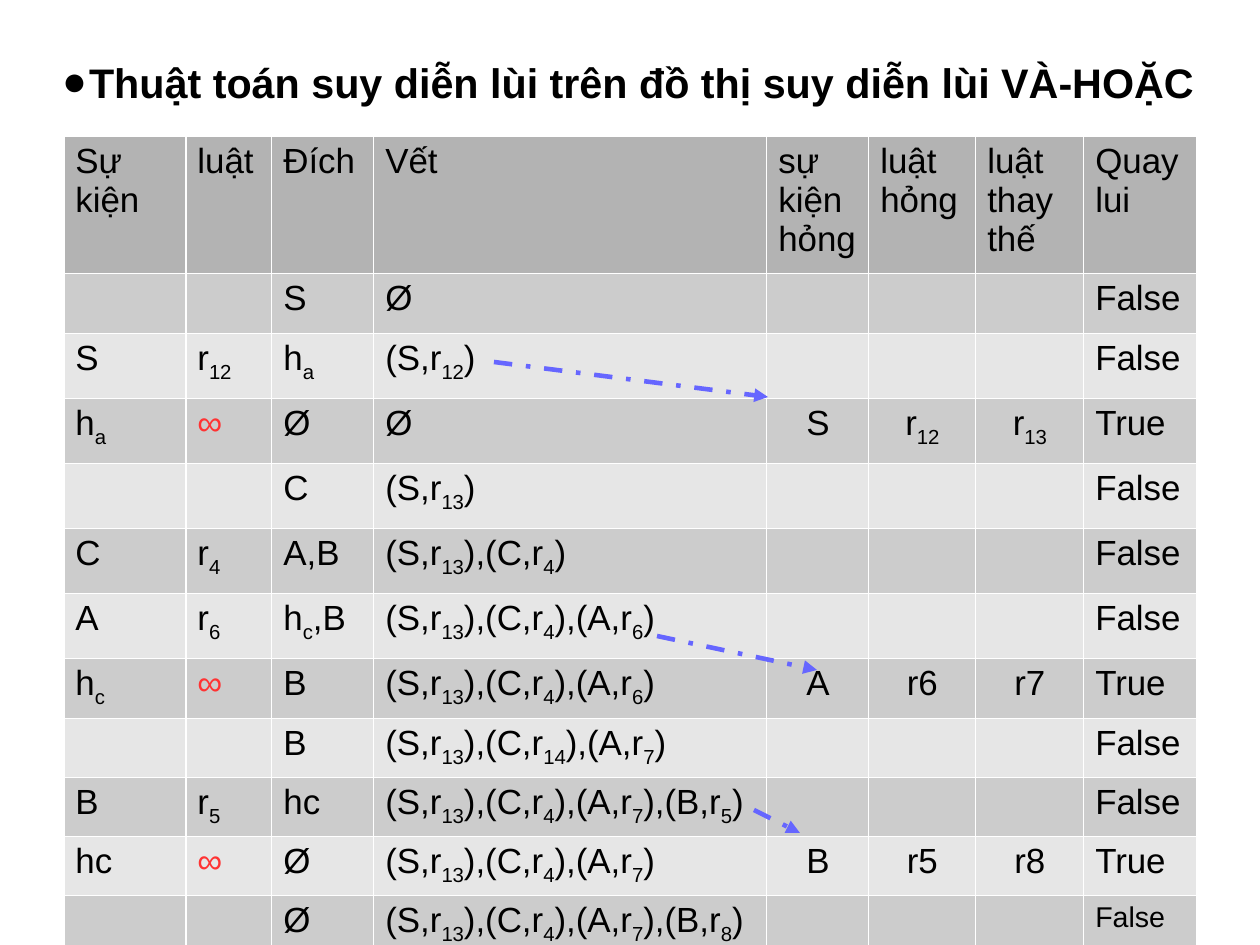
"""Build the backward-chaining trace table slide."""
from dataclasses import dataclass

from lxml.etree import SubElement
from pptx import Presentation
from pptx.dml.color import RGBColor
from pptx.enum.dml import MSO_LINE
from pptx.enum.shapes import MSO_CONNECTOR
from pptx.enum.text import MSO_ANCHOR, PP_ALIGN
from pptx.oxml.ns import qn
from pptx.util import Pt

TITLE = "Thuật toán suy diễn lùi trên đồ thị suy diễn lùi VÀ-HOẶC"
HEADER = ("Sự kiện", "luật", "Đích", "Vết",
          "sự kiện hỏng", "luật hỏng", "luật thay thế", "Quay lui")
# Text between tildes is subscript.
TRACE = [
    ("", "", "S", "Ø", "", "", "", "False"),
    ("S", "r~12~", "h~a~", "(S,r~12~)", "", "", "", "False"),
    ("h~a~", "∞", "Ø", "Ø", "S", "r~12~", "r~13~", "True"),
    ("", "", "C", "(S,r~13~)", "", "", "", "False"),
    ("C", "r~4~", "A,B", "(S,r~13~),(C,r~4~)", "", "", "", "False"),
    ("A", "r~6~", "h~c~,B", "(S,r~13~),(C,r~4~),(A,r~6~)", "", "", "", "False"),
    ("h~c~", "∞", "B", "(S,r~13~),(C,r~4~),(A,r~6~)", "A", "r6", "r7", "True"),
    ("", "", "B", "(S,r~13~),(C,r~14~),(A,r~7~)", "", "", "", "False"),
    ("B", "r~5~", "hc", "(S,r~13~),(C,r~4~),(A,r~7~),(B,r~5~)", "", "", "", "False"),
    ("hc", "∞", "Ø", "(S,r~13~),(C,r~4~),(A,r~7~)", "B", "r5", "r8", "True"),
    ("", "", "Ø", "(S,r~13~),(C,r~4~),(A,r~7~),(B,r~8~)", "", "", "", "False"),
]

SCALE = 8000
PAGE_SIZE = (1260, 945)
TITLE_BOX = (46, 35, 1166, 93)
BULLET_INDENT = 27
TABLE_ORIGIN = (64, 136)
COLUMN_WIDTHS = (122, 86, 102, 393, 102, 107, 108, 113)
ROW_HEIGHTS = (132, 60) + (65,) * 5 + (60,) + (59,) * 4
CENTERED_COLUMNS = (4, 5, 6)
ARROWS = [(494, 362, 768, 397), (657, 636, 817, 670), (754, 810, 800, 833)]


@dataclass(frozen=True)
class Theme:
    """Colours, font and type sizes of the slide."""
    font: str = "Arial"
    ink: str = "000000"
    failure: str = "FF3333"
    arrow: str = "6666FF"
    border: str = "FFFFFF"
    header: str = "B3B3B3"
    bands: tuple = ("E6E6E6", "CCCCCC")
    title_size: int = 26
    cell_size: int = 22
    small_size: int = 18
    arrow_width: float = 2.89
    border_width: float = 0.75


THEME = Theme()


def px(*lengths):
    """Turn pixel lengths into EMU."""
    return [length * SCALE for length in lengths]


def style(span, size, color, bold=False):
    """Set the font of one run."""
    span.font.name = THEME.font
    span.font.size = Pt(size)
    span.font.bold = bold
    span.font.color.rgb = RGBColor.from_string(color)


def add_title(page):
    """Add the bulleted title."""
    frame = page.shapes.add_textbox(*px(*TITLE_BOX)).text_frame
    frame.word_wrap = True
    frame.vertical_anchor = MSO_ANCHOR.MIDDLE
    frame.margin_left = frame.margin_right = frame.margin_top = frame.margin_bottom = 0
    frame.text = TITLE
    para = frame.paragraphs[0]
    para.alignment = PP_ALIGN.CENTER
    properties = para._p.get_or_add_pPr()
    indent, = px(BULLET_INDENT)
    properties.set("marL", str(indent))
    properties.set("indent", str(-indent))
    color = SubElement(properties, qn("a:buClr"))
    SubElement(color, qn("a:srgbClr"), val=THEME.ink)
    SubElement(properties, qn("a:buFont"), typeface=THEME.font)
    SubElement(properties, qn("a:buChar"), char="●")
    style(para.runs[0], THEME.title_size, THEME.ink, bold=True)


def add_borders(cell):
    """Draw the four borders of a cell."""
    properties = cell._tc.get_or_add_tcPr()
    for side in ("lnL", "lnR", "lnT", "lnB"):
        line = SubElement(properties, qn(f"a:{side}"), w=str(Pt(THEME.border_width)))
        fill = SubElement(line, qn("a:solidFill"))
        SubElement(fill, qn("a:srgbClr"), val=THEME.border)


def fill_cell(cell, text, color, size, centered):
    """Write one cell, lowering the parts between tildes."""
    add_borders(cell)
    cell.fill.solid()
    cell.fill.fore_color.rgb = RGBColor.from_string(color)
    if not text:
        return
    para = cell.text_frame.paragraphs[0]
    para.alignment = PP_ALIGN.CENTER if centered else PP_ALIGN.LEFT
    for index, part in enumerate(text.split("~")):
        if part:
            span = para.add_run()
            span.text = part
            style(span, size, THEME.failure if part == "∞" else THEME.ink)
            if index % 2:
                span.font._element.set("baseline", "-25000")


def add_trace_table(page):
    """Add the trace table with its header and alternating rows."""
    rows = [HEADER] + TRACE
    size = (sum(COLUMN_WIDTHS), sum(ROW_HEIGHTS))
    table = page.shapes.add_table(
        len(rows), len(HEADER), *px(*TABLE_ORIGIN, *size)).table
    table.first_row = table.horz_banding = False
    for column, width in zip(table.columns, px(*COLUMN_WIDTHS)):
        column.width = width
    for row, height in zip(table.rows, px(*ROW_HEIGHTS)):
        row.height = height
    last = (len(rows) - 1, len(HEADER) - 1)
    for r, row in enumerate(rows):
        color = THEME.bands[r % 2] if r else THEME.header
        for c, text in enumerate(row):
            type_size = THEME.small_size if (r, c) == last else THEME.cell_size
            fill_cell(table.cell(r, c), text, color, type_size,
                      r > 0 and c in CENTERED_COLUMNS)


def add_arrow(page, ends):
    """Add one dash-dot arrow."""
    arrow = page.shapes.add_connector(MSO_CONNECTOR.STRAIGHT, *px(*ends))
    arrow.line.color.rgb = RGBColor.from_string(THEME.arrow)
    arrow.line.width = Pt(THEME.arrow_width)
    arrow.line.dash_style = MSO_LINE.DASH_DOT
    SubElement(arrow.line._get_or_add_ln(), qn("a:tailEnd"), type="triangle")
    SubElement(arrow._element.spPr, qn("a:effectLst"))


def main():
    """Build and save the deck."""
    deck = Presentation()
    deck.slide_width, deck.slide_height = px(*PAGE_SIZE)
    page = deck.slides.add_slide(deck.slide_layouts[6])
    add_title(page)
    add_trace_table(page)
    for ends in ARROWS:
        add_arrow(page, ends)
    deck.save("out.pptx")


if __name__ == "__main__":
    main()
